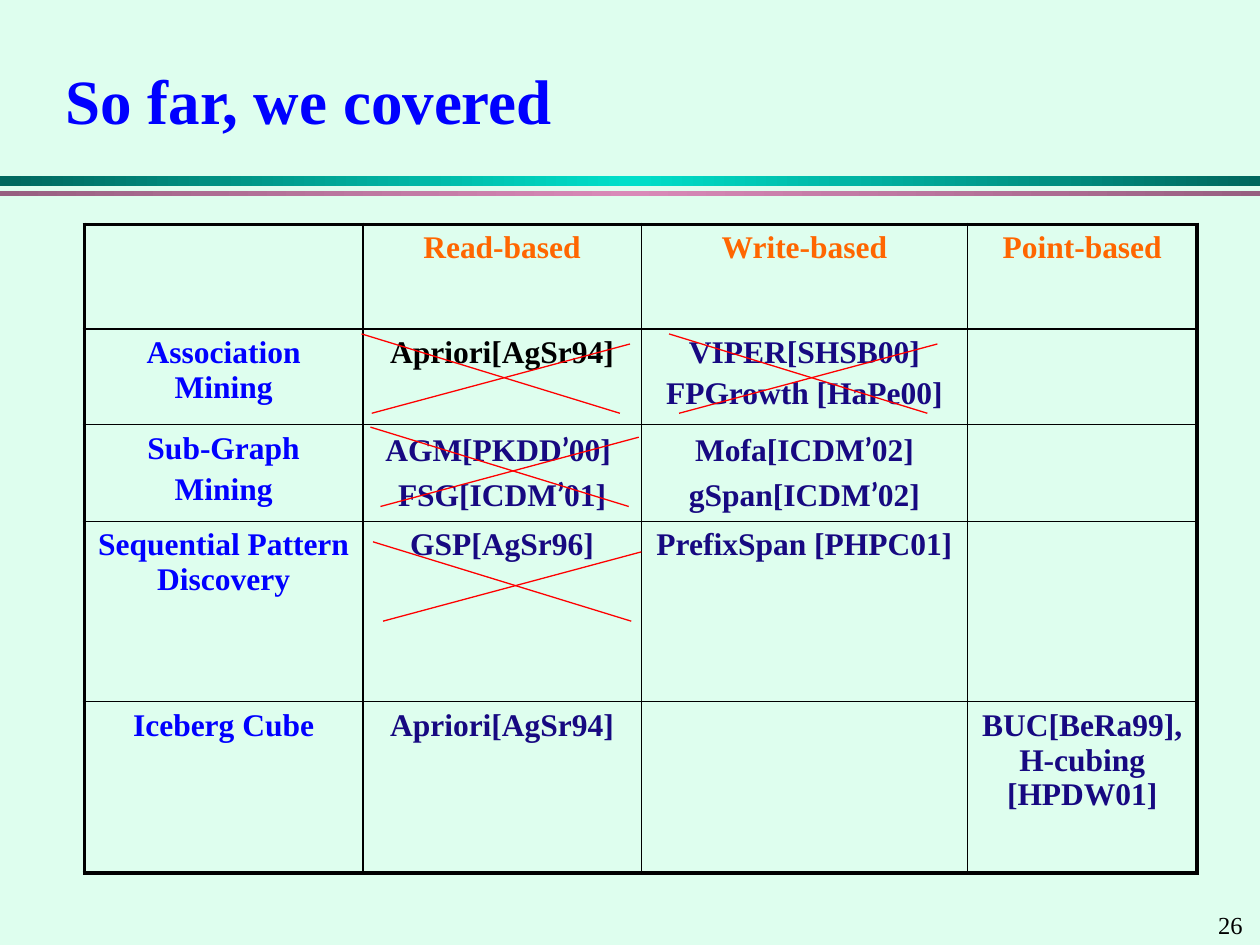
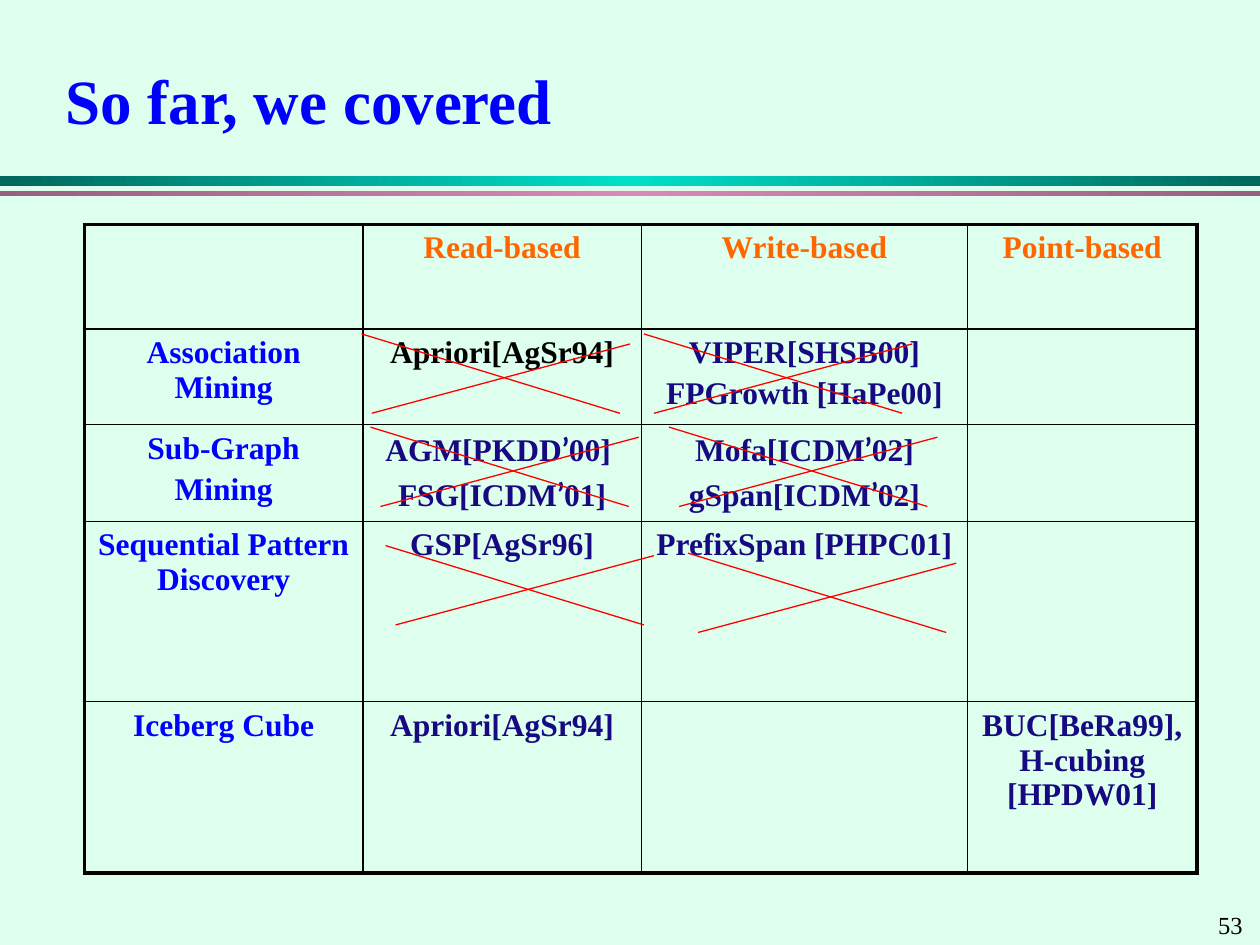
import copy
from dataclasses import dataclass
from itertools import accumulate

import pptx
import pptx.dml.color
import pptx.enum.shapes
import pptx.enum.text
import pptx.oxml
import pptx.oxml.ns
import pptx.util

COLUMNS, ROWS = 100, 75
UNIT = pptx.util.Inches(10) / COLUMNS
SERIF, APOSTROPHE_FONT = "Times New Roman", "Lato"
COLORS = {
    "background": "DEFEEE",
    "black": "000000",
    "blue": "0000FF",
    "navy": "170981",
    "orange": "FF6600",
    "red": "FF0000",
    "teal": "00DFCA",
    "dark teal": "00675D",
    "pink": "D989B8",
    "dark pink": "975F80",
}


@dataclass(frozen=True)
class Band:
    top: float
    height: float
    edge: str
    middle: str


@dataclass(frozen=True)
class Cross:
    row: int
    column: int
    right: float
    down: float


@dataclass(frozen=True)
class Page:
    number: str
    crosses: tuple[Cross, ...]


BANDS = (
    Band(14, 0.8, "dark teal", "teal"),
    Band(15.2, 0.4, "dark pink", "pink"),
)
TABLE_LEFT, TABLE_TOP = 6.7, 17.8
TABLE_COLUMNS = (22.1, 22.1, 25.9, 18.2)
TABLE_ROWS = (8.3, 7.6, 7.7, 14.3, 13.6)
COLUMN_EDGES = tuple(accumulate(TABLE_COLUMNS, initial=TABLE_LEFT))
ROW_EDGES = tuple(accumulate(TABLE_ROWS, initial=TABLE_TOP))
METHODS = (
    ("", "Read-based", "Write-based", "Point-based"),
    ("Association Mining", "Apriori[AgSr94]", "VIPER[SHSB00]\nFPGrowth [HaPe00]", ""),
    (
        "Sub-Graph\nMining",
        "AGM[PKDD’00] \nFSG[ICDM’01]",
        "Mofa[ICDM’02]\ngSpan[ICDM’02]",
        "",
    ),
    ("Sequential Pattern Discovery", "GSP[AgSr96]", "PrefixSpan [PHPC01]", ""),
    ("Iceberg Cube", "Apriori[AgSr94]", "", "BUC[BeRa99], H-cubing [HPDW01]"),
)
CROSS_STROKES = (((0.8, 6.3), (21.3, 0.8)), ((20.5, 6.3), (0, 0)))
SHARED_CROSSES = (Cross(1, 1, -0.1, 0.4), Cross(2, 1, 0.6, 0.2))
PAGES = (
    Page("26", SHARED_CROSSES + (Cross(3, 1, 0.8, 1.6), Cross(1, 2, 2.2, 0.4))),
    Page(
        "53",
        SHARED_CROSSES
        + (
            Cross(1, 2, 0.2, 0.4),
            Cross(3, 1, 1.8, 1.9),
            Cross(2, 2, 2.2, 0.2),
            Cross(3, 2, 3.7, 2.5),
        ),
    ),
)


def grid(*units: float) -> list[int]:
    return [round(unit * UNIT) for unit in units]


def rgb(name: str) -> pptx.dml.color.RGBColor:
    return pptx.dml.color.RGBColor.from_string(COLORS[name])


def style(para, size: float, color: str, bold: bool = False) -> None:
    para.font.name = SERIF
    para.font.size = pptx.util.Pt(size)
    para.font.bold = bold
    para.font.color.rgb = rgb(color)


def draw_band(slide, band: Band) -> None:
    shape = slide.shapes.add_shape(
        pptx.enum.shapes.MSO_SHAPE.RECTANGLE, *grid(0, band.top, COLUMNS, band.height)
    )
    shape.shadow.inherit = False
    shape.line.fill.background()
    shape.fill.gradient()
    shape.fill.gradient_angle = 0
    stops = shape._element.spPr.find(".//" + pptx.oxml.ns.qn("a:gsLst"))
    stops.insert(1, copy.deepcopy(stops[0]))
    stops[1].set("pos", "50000")
    for stop, color in zip(shape.fill.gradient_stops, (band.edge, band.middle, band.edge)):
        stop.color.rgb = rgb(color)


def draw_title(slide, text: str) -> None:
    title = slide.shapes.title
    title.left, title.top, title.width, title.height = grid(4.2, 4.2, 91.7, 7.3)
    frame = title.text_frame
    frame.text = text
    frame.vertical_anchor = pptx.enum.text.MSO_ANCHOR.MIDDLE
    frame.paragraphs[0].alignment = pptx.enum.text.PP_ALIGN.LEFT
    style(frame.paragraphs[0], 36, "blue", True)


def draw_number(slide, number: str) -> None:
    box = slide.shapes.add_textbox(*grid(95.7, 71.7, 4.3, 3.3))
    box.text_frame.text = number
    style(box.text_frame.paragraphs[0], 14, "black")


def cell_color(row: int, column: int) -> str:
    if row == 0:
        return "orange"
    if column == 0:
        return "blue"
    return "black" if (row, column) == (1, 1) else "navy"


def set_borders(cell, row: int, column: int) -> None:
    outer_sides = {
        "L": column == 0,
        "R": column == len(TABLE_COLUMNS) - 1,
        "T": row == 0,
        "B": row == len(TABLE_ROWS) - 1,
    }
    properties = cell._tc.get_or_add_tcPr()
    for index, (side, outer) in enumerate(outer_sides.items()):
        width = pptx.util.Pt(2.25 if outer else 1)
        border = pptx.oxml.parse_xml(
            f'<a:ln{side} {pptx.oxml.ns.nsdecls("a")} w="{width}"><a:solidFill>'
            f'<a:srgbClr val="{COLORS["black"]}"/></a:solidFill></a:ln{side}>'
        )
        properties.insert(index, border)


def fill_cell(cell, text: str, color: str) -> None:
    cell.fill.solid()
    cell.fill.fore_color.rgb = rgb("background")
    frame = cell.text_frame
    for index, line in enumerate(text.split("\n")):
        para = frame.add_paragraph() if index else frame.paragraphs[0]
        para.alignment = pptx.enum.text.PP_ALIGN.CENTER
        if index:
            para.space_before = pptx.util.Pt(3.6)
        style(para, 18, color, True)
        before, mark, after = line.partition("’")
        for part in filter(None, (before, mark, after)):
            span = para.add_run()
            span.text = part
            if part == "’":
                span.font.name = APOSTROPHE_FONT


def draw_table(slide) -> None:
    table = slide.shapes.add_table(
        len(TABLE_ROWS),
        len(TABLE_COLUMNS),
        *grid(TABLE_LEFT, TABLE_TOP, sum(TABLE_COLUMNS), sum(TABLE_ROWS)),
    ).table
    table.first_row = table.horz_banding = False
    for column, width in zip(table.columns, grid(*TABLE_COLUMNS)):
        column.width = width
    for row, height in zip(table.rows, grid(*TABLE_ROWS)):
        row.height = height
    for row, texts in enumerate(METHODS):
        for column, text in enumerate(texts):
            cell = table.cell(row, column)
            fill_cell(cell, text, cell_color(row, column))
            set_borders(cell, row, column)


def draw_cross(slide, cross: Cross) -> None:
    left = COLUMN_EDGES[cross.column] + cross.right
    top = ROW_EDGES[cross.row] + cross.down
    for (start_x, start_y), (end_x, end_y) in CROSS_STROKES:
        line = slide.shapes.add_connector(
            pptx.enum.shapes.MSO_CONNECTOR.STRAIGHT,
            *grid(left + start_x, top + start_y, left + end_x, top + end_y),
        )
        line.line.color.rgb = rgb("red")
        line.line.width = pptx.util.Pt(0.75)
        line._element.spPr.append(
            pptx.oxml.parse_xml(f'<a:effectLst {pptx.oxml.ns.nsdecls("a")}/>')
        )


def draw_page(deck, page: Page) -> None:
    slide = deck.slides.add_slide(deck.slide_layouts.get_by_name("Title Only"))
    slide.background.fill.solid()
    slide.background.fill.fore_color.rgb = rgb("background")
    for band in BANDS:
        draw_band(slide, band)
    draw_number(slide, page.number)
    draw_title(slide, "So far, we covered")
    draw_table(slide)
    for cross in page.crosses:
        draw_cross(slide, cross)


def main() -> None:
    deck = pptx.Presentation()
    deck.slide_width, deck.slide_height = grid(COLUMNS, ROWS)
    for page in PAGES:
        draw_page(deck, page)
    deck.save("out.pptx")


if __name__ == "__main__":
    main()
